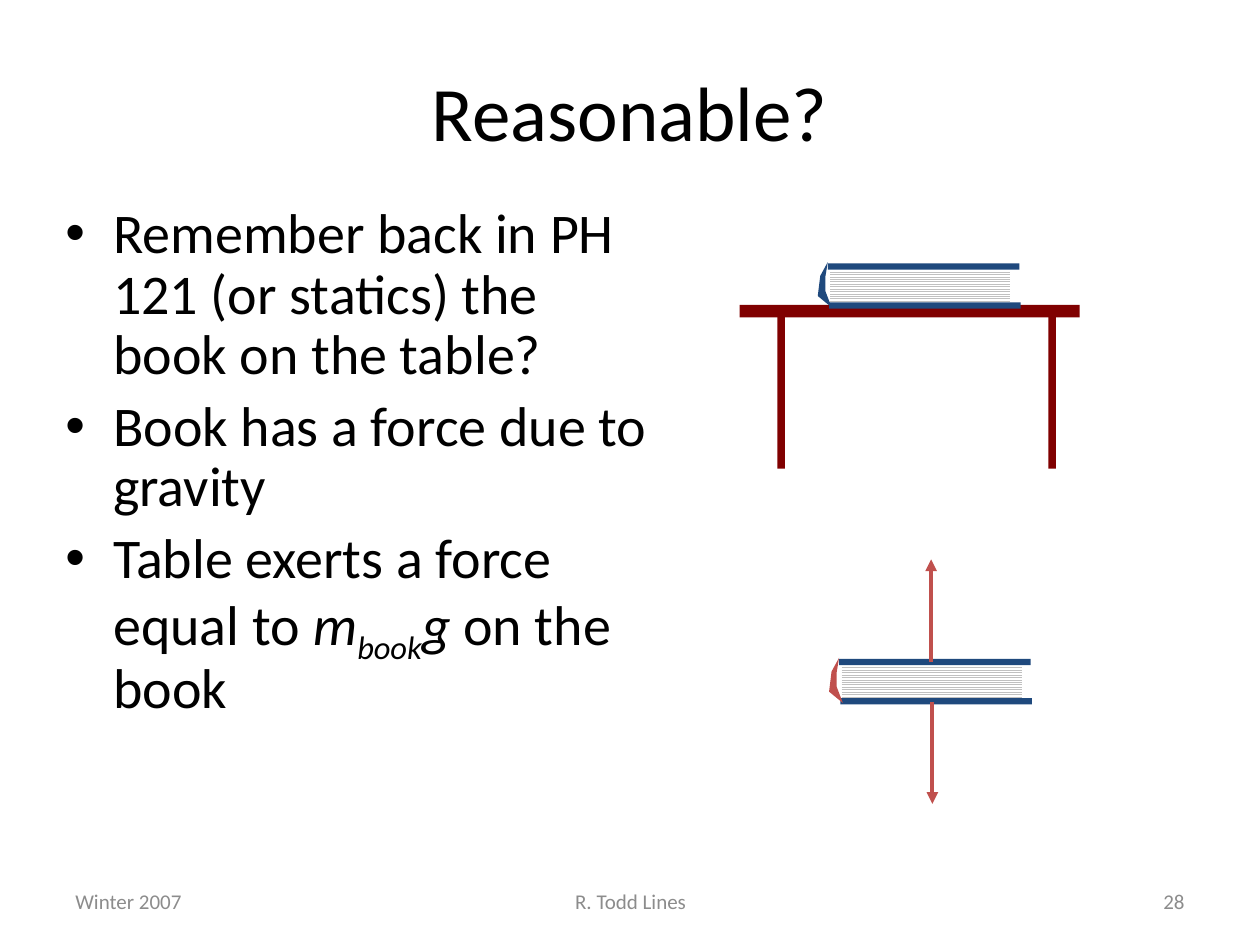
from lxml import etree
from pptx import Presentation
from pptx.dml.color import RGBColor
from pptx.enum.dml import MSO_PATTERN
from pptx.enum.shapes import MSO_CONNECTOR, MSO_SHAPE
from pptx.enum.text import MSO_ANCHOR, PP_ALIGN
from pptx.oxml.ns import qn
from pptx.util import Inches, Pt

RECTANGLE = MSO_SHAPE.RECTANGLE
STRAIGHT = MSO_CONNECTOR.STRAIGHT
LIGHT_LINES = MSO_PATTERN.LIGHT_HORIZONTAL
TOP, MIDDLE = MSO_ANCHOR.TOP, MSO_ANCHOR.MIDDLE
LEFT, CENTER, RIGHT = PP_ALIGN.LEFT, PP_ALIGN.CENTER, PP_ALIGN.RIGHT

BLACK, GRAY, MAROON = "000000", "8C8C8C", "800000"
NAVY, RED, PAPER, PAPER_LINE = "1F497D", "C0504D", "FFFFFF", "C0C0C0"

color = RGBColor.from_string

presentation = Presentation()
presentation.slide_width, presentation.slide_height = Inches(10), Inches(7.5)
slide = presentation.slides.add_slide(presentation.slide_layouts[6])

# The slide is a grid of 100 columns by 75 rows
CELL = presentation.slide_width // 100


def grid(*cells):
    return [round(cell * CELL) for cell in cells]


def finish(shape, fill):
    shape.shadow.inherit = False
    shape.line.fill.background()
    if fill:
        shape.fill.solid()
        shape.fill.fore_color.rgb = color(fill)
    else:
        shape.fill.patterned()
        shape.fill.pattern = LIGHT_LINES
        shape.fill.fore_color.rgb = color(PAPER_LINE)
        shape.fill.back_color.rgb = color(PAPER)


# Text: each paragraph is a list of (words, italic, baseline) runs
body = [
    [("Remember back in PH 121 (or statics) the book on the table?", False, 0)],
    [("Book has a force due to gravity", False, 0)],
    [("Table exerts a force equal to ", False, 0), ("m", True, 0),
     ("book", True, -25000), ("g", True, 0), (" on the book", False, 0)],
]
texts = [
    ((5, 69.5, 23.3, 4), [[("Winter 2007", False, 0)]], 12, GRAY, LEFT, MIDDLE),
    ((34.2, 69.5, 31.7, 4), [[("R. Todd Lines", False, 0)]], 12, GRAY, CENTER, MIDDLE),
    ((71.7, 69.5, 23.3, 4), [[("28", False, 0)]], 12, GRAY, RIGHT, MIDDLE),
    ((5, 2.5, 90, 12.5), [[("Reasonable?", False, 0)]], 44, BLACK, CENTER, MIDDLE),
    ((4.2, 15.8, 48.9, 49.5), body, 32, BLACK, LEFT, TOP),
]
for place, paragraphs, size, text_color, alignment, anchor in texts:
    frame = slide.shapes.add_textbox(*grid(*place)).text_frame
    frame.word_wrap = True
    frame.vertical_anchor = anchor
    for index, runs in enumerate(paragraphs):
        paragraph = frame.add_paragraph() if index else frame.paragraphs[0]
        paragraph.alignment = alignment
        if paragraphs is body:
            paragraph.line_spacing = 0.9
            paragraph.space_before = Pt(6.4 if index else 0)
            properties = paragraph._p.get_or_add_pPr()
            indent = Inches(0.38)
            properties.set("marL", str(indent))
            properties.set("indent", str(-indent))
            etree.SubElement(properties, qn("a:buFont"), typeface="Arial")
            etree.SubElement(properties, qn("a:buChar"), char="•")
        for words, italic, baseline in runs:
            run = paragraph.add_run()
            run.text = words
            formats = {"name": "Calibri", "size": Pt(size), "italic": italic}
            for name, value in formats.items():
                setattr(run.font, name, value)
            run.font.color.rgb = color(text_color)
            if baseline:
                run._r.get_or_add_rPr().set("baseline", str(baseline))

# Table: top and two legs
for place in [(58.7, 24.2, 27, 1), (61.7, 25, 0.6, 12.2), (83.2, 25, 0.6, 12.2)]:
    finish(slide.shapes.add_shape(RECTANGLE, *grid(*place)), MAROON)

# Books: the one on the table and the one in the force diagram
book_parts = [
    ((1, 0.6, 14.3, 2.7), None),
    ((0.8, 0.1, 15.2, 0.5), NAVY),
    ((0.9, 3.2, 15.2, 0.5), NAVY),
]
spine = [(0.8, 0), (0.2, 1.1), (0, 2.7), (1.1, 3.6), (0.6, 2.3), (0.6, 1.2)]
for left, top, spine_color in [(64.9, 20.8, NAVY), (65.8, 52.2, RED)]:
    book = slide.shapes.add_group_shape()
    for (x, y, width, height), fill in book_parts:
        place = grid(left + x, top + y, width, height)
        finish(book.shapes.add_shape(RECTANGLE, *place), fill)
    points = [grid(left + x, top + y) for x, y in spine]
    outline = book.shapes.build_freeform(*points[0])
    outline.add_line_segments(points[1:], close=True)
    finish(outline.convert_to_shape(), spine_color)

# Forces: gravity down, table up
for ends in [(74, 55.7, 74, 63.8), (73.9, 52.5, 73.9, 44.4)]:
    force = slide.shapes.add_connector(STRAIGHT, *grid(*ends))
    force.line.color.rgb = color(RED)
    force.line.width = Pt(2.25)
    etree.SubElement(force.line._get_or_add_ln(), qn("a:tailEnd"), type="triangle")
    etree.SubElement(force._element.spPr, qn("a:effectLst"))

presentation.save("out.pptx")
